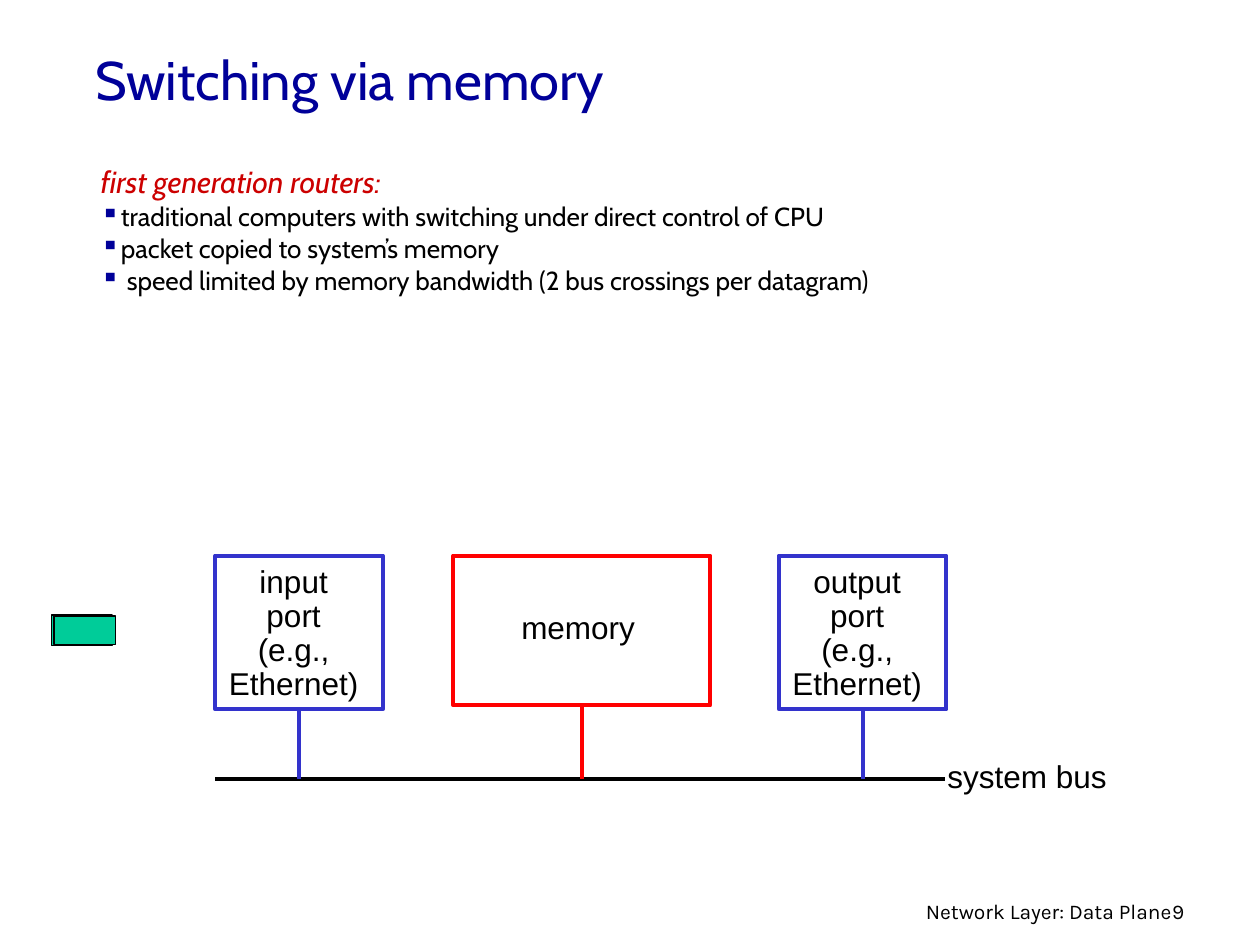
from dataclasses import dataclass
from typing import Optional

from lxml import etree
from pptx import Presentation
from pptx import util as u
from pptx.dml.color import RGBColor
from pptx.enum import shapes, text
from pptx.oxml.ns import qn

COLORS = {"navy": "000099", "heading": "CC0000", "black": "000000",
          "white": "FFFFFF", "port": "3333CC", "memory": "FF0000",
          "packet": "00CC99"}
BOX_TOP, BUS_Y = 11.2, 15.7
LEFT, CENTER, RIGHT = text.PP_ALIGN.LEFT, text.PP_ALIGN.CENTER, text.PP_ALIGN.RIGHT


@dataclass
class Block:
    """A bordered box with its label and its link to the bus, in cm."""
    lines: list[str]
    left: float
    width: float
    height: float
    label: tuple[float, float, float, float]
    line: str
    fill: Optional[str] = None


def rgb(name: str) -> RGBColor:
    return RGBColor.from_string(COLORS[name])


def add_bullet(p, char: str, color: str) -> None:
    pPr = p._p.get_or_add_pPr()
    clr = etree.SubElement(pPr, qn("a:buClr"))
    etree.SubElement(clr, qn("a:srgbClr"), val=COLORS[color])
    etree.SubElement(pPr, qn("a:buChar"), char=char)


def add_text(s, lines: list[str], at: tuple[float, float, float, float], *,
             size: float = 18, font: str = "Arial", color: str = "black",
             align=LEFT, spacing: float = 1.0, wrap: bool = False,
             middle: bool = False):
    tf = s.shapes.add_textbox(*map(u.Cm, at)).text_frame
    tf.word_wrap = wrap
    tf.margin_left = tf.margin_right = tf.margin_top = tf.margin_bottom = u.Cm(0.13)
    tf.vertical_anchor = text.MSO_ANCHOR.MIDDLE if middle else text.MSO_ANCHOR.TOP
    for i, line in enumerate(lines):
        p = tf.add_paragraph() if i else tf.paragraphs[0]
        p.alignment, p.line_spacing = align, spacing
        r = p.add_run()
        r.text = line
        r.font.size, r.font.name = u.Pt(size), font
        r.font.color.rgb = rgb(color)
    return tf


def add_rect(s, at: tuple[float, float, float, float], line: str,
             fill: Optional[str], weight: float):
    sp = s.shapes.add_shape(shapes.MSO_SHAPE.RECTANGLE, *map(u.Cm, at))
    sp.shadow.inherit = False
    if fill:
        sp.fill.solid()
        sp.fill.fore_color.rgb = rgb(fill)
    else:
        sp.fill.background()
    sp.line.color.rgb, sp.line.width = rgb(line), u.Pt(weight)
    return sp


def add_line(s, start: tuple[float, float], end: tuple[float, float], color: str):
    cx = s.shapes.add_connector(shapes.MSO_CONNECTOR.STRAIGHT,
                                *map(u.Cm, start + end))
    cx.line.color.rgb, cx.line.width = rgb(color), u.Pt(2.25)
    etree.SubElement(cx._element.spPr, qn("a:effectLst"))
    return cx


def add_block(s, b: Block) -> None:
    sp = add_rect(s, (b.left, BOX_TOP, b.width, b.height), b.line, b.fill, 2.25)
    add_text(s, b.lines, b.label, align=CENTER, spacing=0.9)
    middle = b.left + b.width / 2
    link = add_line(s, (middle, BOX_TOP + b.height), (middle, BUS_Y), b.line)
    link.begin_connect(sp, 2)


def port(name: str, left: float) -> Block:
    return Block([name, "port", "(e.g.,", "Ethernet)"], left, 3.38, 3.1,
                 (left + 0.13, BOX_TOP + 0.08, 2.9, 2.97), "port", "white")


def main() -> None:
    prs = Presentation()
    prs.slide_width, prs.slide_height = u.Cm(25.4), u.Cm(19.05)
    s = prs.slides.add_slide(prs.slide_layouts[6])

    # Title
    add_text(s, ["Switching via memory"], (1.8, 0.74, 21.59, 1.7), size=31,
             font="Cabin", color="navy", wrap=True, middle=True)

    # Heading and bullets
    tf = add_text(s, ["first generation routers:",
                      "traditional computers with switching under direct control of CPU",
                      "packet copied to system’s memory",
                      " speed limited by memory bandwidth (2 bus crossings per datagram)"],
                  (1.9, 3.28, 21.8, 2.97), size=14.9, font="Cabin",
                  spacing=0.85, wrap=True)
    heading, *bullets = tf.paragraphs
    font = heading.runs[0].font
    font.size, font.italic, font.color.rgb = u.Pt(17.4), True, rgb("heading")
    for p in bullets:
        p.space_before = u.Pt(3)
        pPr = p._p.get_or_add_pPr()
        pPr.set("marL", str(u.Cm(0.41)))
        pPr.set("indent", str(u.Cm(-0.41)))
        add_bullet(p, "▪", "navy")

    # System bus with the blocks attached to it
    add_line(s, (4.34, BUS_Y), (19.05, BUS_Y), "black")
    memory = Block(["memory"], 9.14, 5.18, 3.02, (10.36, 12.22, 2.59, 0.97), "memory")
    for block in (port("input", 4.34), memory, port("output", 15.7)):
        add_block(s, block)
    add_text(s, ["system bus"], (18.97, 15.14, 3.5, 0.97))

    # Packet waiting at the input
    for at in ((1.04, 12.4, 1.22, 0.61), (1.09, 12.42, 1.24, 0.58)):
        add_rect(s, at, "black", "packet", 0.75)

    # Footer
    add_text(s, ["9"], (23.5, 17.98, 0.51, 0.74), size=12, font="Karla")
    add_text(s, ["Network Layer: Data Plane"], (17.7, 17.98, 6.05, 0.74),
             size=12, font="Karla", align=RIGHT, wrap=True)

    prs.save("out.pptx")


if __name__ == "__main__":
    main()
